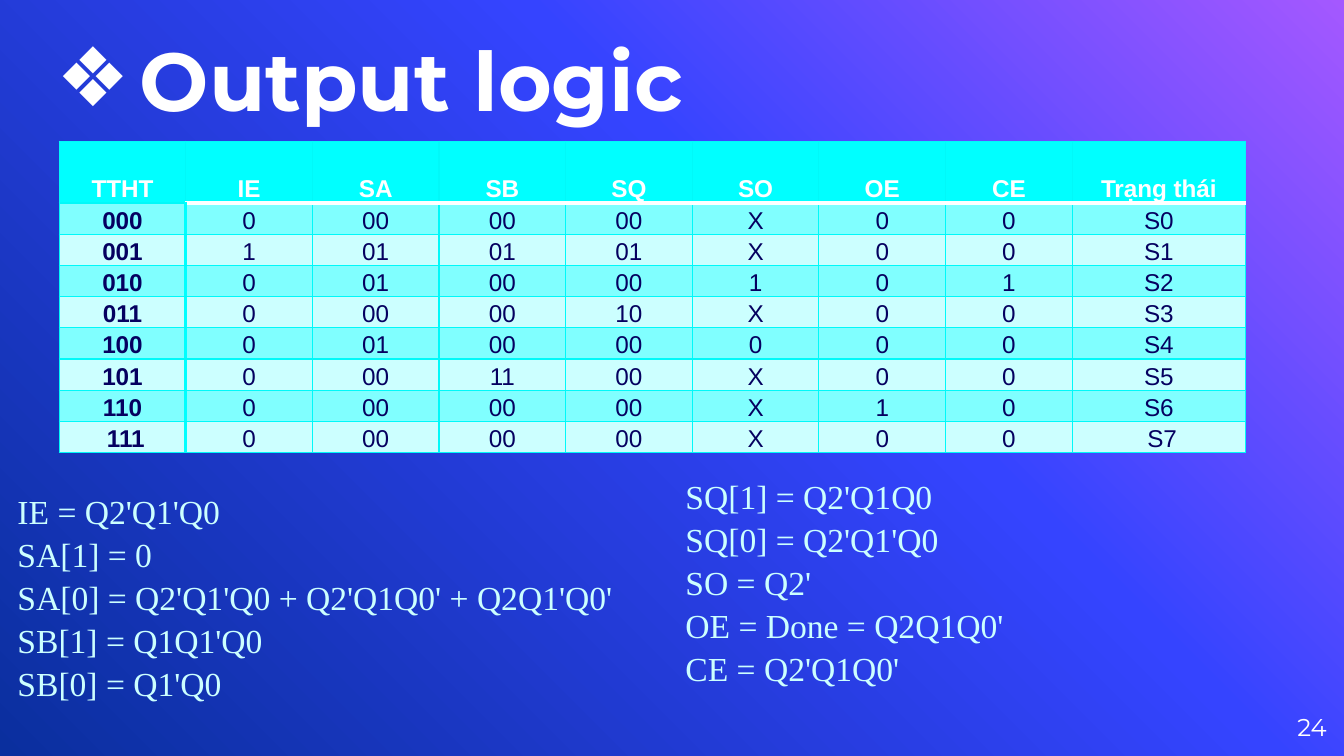
from copy import deepcopy

from lxml.etree import SubElement
from pptx import Presentation
from pptx.dml.color import RGBColor
from pptx.enum.text import MSO_ANCHOR as Anchor, MSO_AUTO_SIZE as AutoSize, PP_ALIGN as Align
from pptx.oxml.ns import qn
from pptx.util import Inches, Pt

WHITE = RGBColor(0xFF, 0xFF, 0xFF)
PURPLE = RGBColor(0xA4, 0x58, 0xFF)
BLUE = RGBColor(0x35, 0x44, 0xFF)
DEEP_BLUE = RGBColor(0x0A, 0x2F, 0x9E)
NAVY = RGBColor(0x05, 0x00, 0x60)
CYAN = RGBColor(0x00, 0xFF, 0xFF)
GRID_CYAN = RGBColor(0x00, 0xF9, 0xF9)
MID_CYAN = RGBColor(0x80, 0xFF, 0xFF)
PALE_CYAN = RGBColor(0xCC, 0xFF, 0xFF)

SLIDE_W = 10
SLIDE_H = SLIDE_W * 9 / 16
TABLE_W, STATE_COL_W, ROW_H = 8.83, 1.29, 0.23
HEADERS = ["TTHT", "IE", "SA", "SB", "SQ", "SO", "OE", "CE", "Trạng thái"]
STATES = [
    ["000", "0", "00", "00", "00", "X", "0", "0", "S0"],
    ["001", "1", "01", "01", "01", "X", "0", "0", "S1"],
    ["010", "0", "01", "00", "00", "1", "0", "1", "S2"],
    ["011", "0", "00", "00", "10", "X", "0", "0", "S3"],
    ["100", "0", "01", "00", "00", "0", "0", "0", "S4"],
    ["101", "0", "00", "11", "00", "X", "0", "0", "S5"],
    ["110", "0", "00", "00", "00", "X", "1", "0", "S6"],
    [" 111", "0", "00", "00", "00", "X", "0", "0", " S7"],
]
LEFT_EQUATIONS = [
    "IE = Q2'Q1'Q0",
    "SA[1] = 0",
    "SA[0] = Q2'Q1'Q0 + Q2'Q1Q0' + Q2Q1'Q0'",
    "SB[1] = Q1Q1'Q0",
    "SB[0] = Q1'Q0",
]
RIGHT_EQUATIONS = [
    "SQ[1] = Q2'Q1Q0",
    "SQ[0] = Q2'Q1'Q0",
    "SO = Q2'",
    "OE = Done = Q2Q1Q0'",
    "CE = Q2'Q1Q0'",
]


def place(sp, left, top, width, height):
    sp.left, sp.top = Inches(left), Inches(top)
    sp.width, sp.height = Inches(width), Inches(height)


def add_run(p, text, font, size, color, bold=False):
    r = p.add_run()
    r.text = text
    r.font.name, r.font.size, r.font.bold = font, Pt(size), bold
    r.font.color.rgb = color


def clear_margins(tf):
    tf.margin_left = tf.margin_right = tf.margin_top = tf.margin_bottom = 0


def set_indent(p, left, first):
    pPr = p._p.get_or_add_pPr()
    pPr.set("marL", str(Inches(left)))
    pPr.set("indent", str(Inches(first)))
    return pPr


def set_background(slide):
    fill = slide.background.fill
    fill.gradient()
    fill.gradient_angle = 225  # counter-clockwise, runs to the lower left
    stops = next(slide._element.iter(qn("a:gsLst")))
    stops.append(deepcopy(stops[0]))
    for stop, pos, color in zip(fill.gradient_stops, (0, 0.39, 1), (PURPLE, BLUE, DEEP_BLUE)):
        stop.position = pos
        stop.color.rgb = color


def set_title(title, text):
    place(title, 0.42, 0.01, 7.01, 0.94)
    tf = title.text_frame
    clear_margins(tf)
    tf.auto_size, tf.vertical_anchor = AutoSize.NONE, Anchor.BOTTOM
    p = tf.paragraphs[0]
    p.alignment = Align.LEFT
    pPr = set_indent(p, 0.62, -0.62)
    bullet_color = SubElement(pPr, qn("a:buClr"))
    SubElement(bullet_color, qn("a:srgbClr"), val=str(WHITE))
    SubElement(pPr, qn("a:buFont"), typeface="Arial")
    SubElement(pPr, qn("a:buChar"), char="❖")
    add_run(p, text, "Montserrat", 44, WHITE, bold=True)


def set_equations(body, box, equations):
    place(body, *box)
    tf = body.text_frame
    tf.word_wrap, tf.auto_size, tf.vertical_anchor = True, AutoSize.SHAPE_TO_FIT_TEXT, Anchor.TOP
    for i, equation in enumerate(equations):
        p = tf.add_paragraph() if i else tf.paragraphs[0]
        p.line_spacing, p.space_before = 1.07, Pt(0)
        SubElement(set_indent(p, 0, 0), qn("a:buNone"))
        add_run(p, equation, "Times New Roman", 18, PALE_CYAN)


def set_border(cell, side, color, width):
    ln = SubElement(cell._tc.get_or_add_tcPr(), qn(f"a:ln{side}"), w=str(Pt(width)))
    SubElement(SubElement(ln, qn("a:solidFill")), qn("a:srgbClr"), val=str(color))


def heavy_borders(row, col):
    """White rule under the header, cyan rule right of the first column."""
    heavy = {}
    if row < 2 and col > 0:
        heavy["T" if row else "B"] = WHITE
    if row > 0 and col < 2:
        heavy["L" if col else "R"] = CYAN
    return heavy


def style_cell(cell, text, row, col):
    header = row == 0
    heavy = heavy_borders(row, col)
    for side in "LRTB":
        set_border(cell, side, heavy.get(side, GRID_CYAN), 2 if side in heavy else 0.75)
    cell.fill.solid()
    cell.fill.fore_color.rgb = CYAN if header else MID_CYAN if row % 2 else PALE_CYAN
    cell.margin_left = cell.margin_right = Inches(0.07)
    cell.margin_top = cell.margin_bottom = 0
    cell.vertical_anchor = Anchor.BOTTOM
    p = cell.text_frame.paragraphs[0]
    p.alignment, p.line_spacing = Align.CENTER, 1.07
    add_run(p, text, "Arial", 13, WHITE if header else NAVY, bold=header or col == 0)


def add_state_table(slide, left, top):
    rows = [HEADERS] + STATES
    signals = len(HEADERS) - 1
    widths = [(TABLE_W - STATE_COL_W) / signals] * signals + [STATE_COL_W]
    heights = [2 * ROW_H] + [ROW_H] * len(STATES)
    table = slide.shapes.add_table(len(rows), len(widths), Inches(left), Inches(top),
                                   Inches(TABLE_W), Inches(sum(heights))).table
    for column, width in zip(table.columns, widths):
        column.width = Inches(width)
    for i, (values, height) in enumerate(zip(rows, heights)):
        table.rows[i].height = Inches(height)
        for j, text in enumerate(values):
            style_cell(table.cell(i, j), text, i, j)


def add_page_number(slide, number):
    box = slide.shapes.add_textbox(Inches(9.27), Inches(5.19), Inches(0.6), Inches(0.43))
    tf = box.text_frame
    clear_margins(tf)
    tf.word_wrap, tf.vertical_anchor = True, Anchor.MIDDLE
    p = tf.paragraphs[0]
    p.alignment = Align.RIGHT
    add_run(p, number, "Montserrat", 13, WHITE)


def main():
    prs = Presentation()
    prs.slide_width, prs.slide_height = Inches(SLIDE_W), Inches(SLIDE_H)
    slide = prs.slides.add_slide(prs.slide_layouts[3])  # title and two bodies
    set_background(slide)

    # Title and page number
    title, left_body, right_body = slide.placeholders
    set_title(title, "Output logic")
    add_page_number(slide, "24")

    # Equations below the table
    set_equations(left_body, (0.03, 3.58, 4.8, 1.7), LEFT_EQUATIONS)
    set_equations(right_body, (5, 3.47, 3.92, 1.7), RIGHT_EQUATIONS)

    # Output values for each state
    add_state_table(slide, 0.44, 1.05)
    prs.save("out.pptx")


if __name__ == "__main__":
    main()
